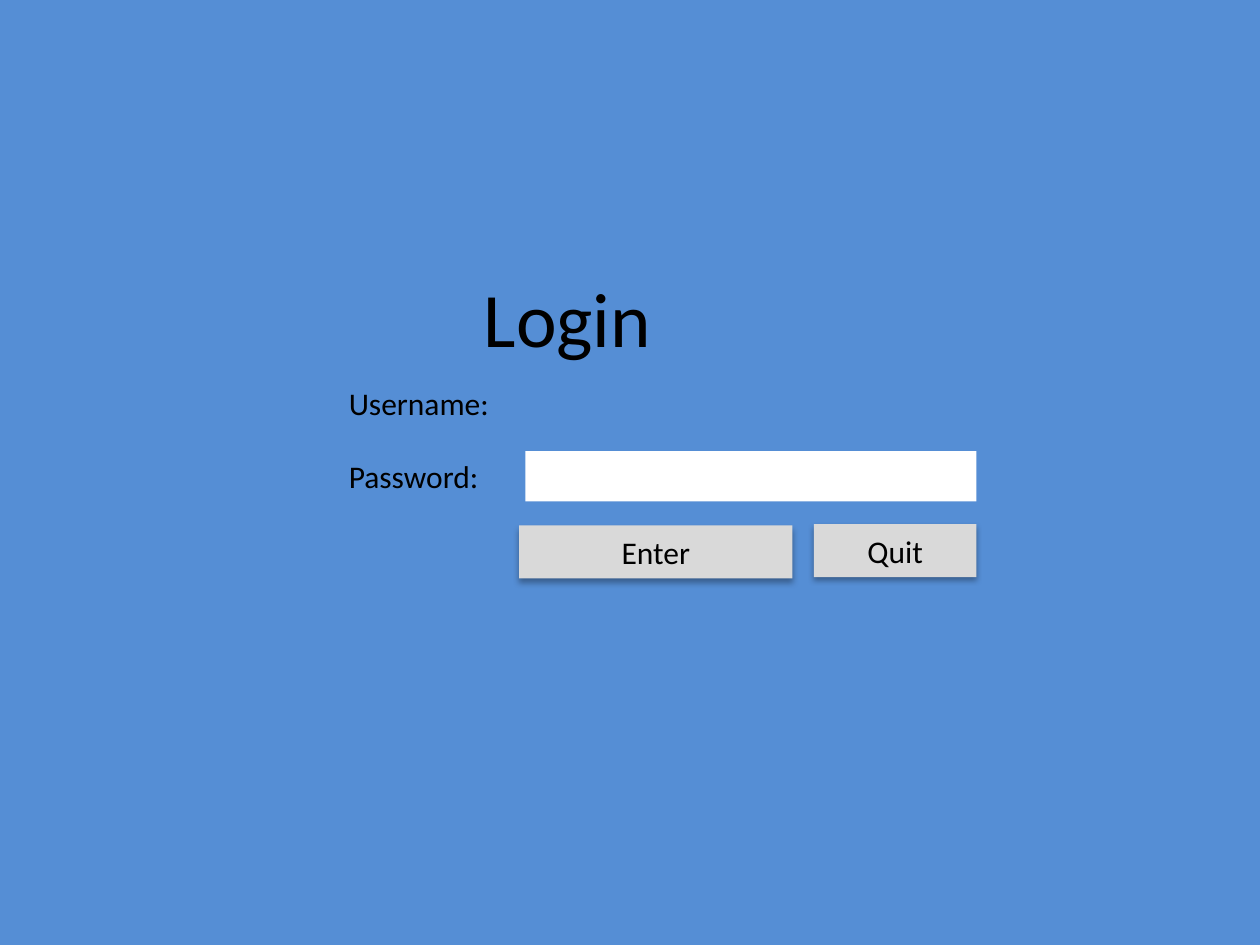
from dataclasses import dataclass

from lxml import etree
from pptx import Presentation
from pptx.dml.color import RGBColor
from pptx.enum.shapes import MSO_SHAPE
from pptx.enum.text import MSO_ANCHOR, PP_ALIGN
from pptx.oxml.ns import qn
from pptx.util import Inches, Pt

RECTANGLE = MSO_SHAPE.RECTANGLE
MIDDLE = MSO_ANCHOR.MIDDLE
LEFT, CENTER = PP_ALIGN.LEFT, PP_ALIGN.CENTER
TITLE_ONLY = 5

COLORS = {"background": "558ED5", "field": "FFFFFF", "button": "D9D9D9", "text": "000000"}
FONT = "Calibri"
SHADOW = {"blurRad": Pt(3.5), "dist": Pt(2.2), "dir": 90 * 60000,
          "algn": "t", "rotWithShape": 0}
SHADOW_OPACITY = 32

LABEL_LEFT = 2.67
FIRST_ROW, ROW_STEP = 3.0, 0.58
ROW_HEIGHT, BUTTON_HEIGHT = 0.4, 0.42
FIELD_LEFT, FORM_RIGHT = 4.17, 7.75


@dataclass
class Box:
    """Place of one form part in inches, with its wording."""
    left: float
    top: float
    width: float
    height: float
    text: str = ""

    def place(self) -> tuple:
        """Return left, top, width and height as lengths."""
        return tuple(Inches(v) for v in (self.left, self.top, self.width, self.height))


def color(name: str) -> RGBColor:
    """Look up a named colour."""
    return RGBColor.from_string(COLORS[name])


def write(frame, text: str, size: int, align) -> None:
    """Put one formatted line into a text frame."""
    frame.word_wrap = True
    frame.vertical_anchor = MIDDLE
    paragraph = frame.paragraphs[0]
    paragraph.alignment = align
    run = paragraph.add_run()
    run.text = text
    for attribute, value in {"name": FONT, "size": Pt(size)}.items():
        setattr(run.font, attribute, value)
    run.font.color.rgb = color("text")


def add_panel(slide, box: Box, fill: str):
    """Draw a flat rectangle without outline."""
    panel = slide.shapes.add_shape(RECTANGLE, *box.place())
    panel.fill.solid()
    panel.fill.fore_color.rgb = color(fill)
    panel.line.fill.background()
    panel.shadow.inherit = False
    return panel


def add_label(slide, box: Box) -> None:
    """Add the caption of a form row."""
    label = slide.shapes.add_textbox(*box.place())
    write(label.text_frame, box.text, 18, LEFT)


def add_button(slide, box: Box) -> None:
    """Add a captioned button with a soft shadow below it."""
    button = add_panel(slide, box, "button")
    write(button.text_frame, box.text, 18, CENTER)
    effects = button._element.spPr.find(qn("a:effectLst"))
    shadow = etree.SubElement(effects, qn("a:outerShdw"),
                              {key: str(value) for key, value in SHADOW.items()})
    tint = etree.SubElement(shadow, qn("a:srgbClr"), val="000000")
    etree.SubElement(tint, qn("a:alpha"), val=str(SHADOW_OPACITY * 1000))


def add_title(slide, box: Box) -> None:
    """Move and fill the title placeholder."""
    title = slide.shapes.title
    title.left, title.top, title.width, title.height = box.place()
    write(title.text_frame, box.text, 44, CENTER)


def main() -> None:
    """Build the login slide."""
    deck = Presentation()
    deck.slide_width, deck.slide_height = Inches(10), Inches(7.5)
    slide = deck.slides.add_slide(deck.slide_layouts[TITLE_ONLY])
    slide.background.fill.solid()
    slide.background.fill.fore_color.rgb = color("background")

    add_title(slide, Box(2.42, 2.08, 4.17, 0.86, "Login"))
    password_row = FIRST_ROW + ROW_STEP
    add_panel(slide, Box(FIELD_LEFT, password_row, FORM_RIGHT - FIELD_LEFT, ROW_HEIGHT), "field")
    for row, caption in enumerate(("Username:", "Password:")):
        add_label(slide, Box(LABEL_LEFT, FIRST_ROW + row * ROW_STEP, 1.5, ROW_HEIGHT, caption))
    for button in (Box(4.12, 4.17, 2.17, BUTTON_HEIGHT, "Enter"),
                   Box(6.46, 4.16, FORM_RIGHT - 6.46, BUTTON_HEIGHT, "Quit")):
        add_button(slide, button)
    deck.save("out.pptx")


main()
